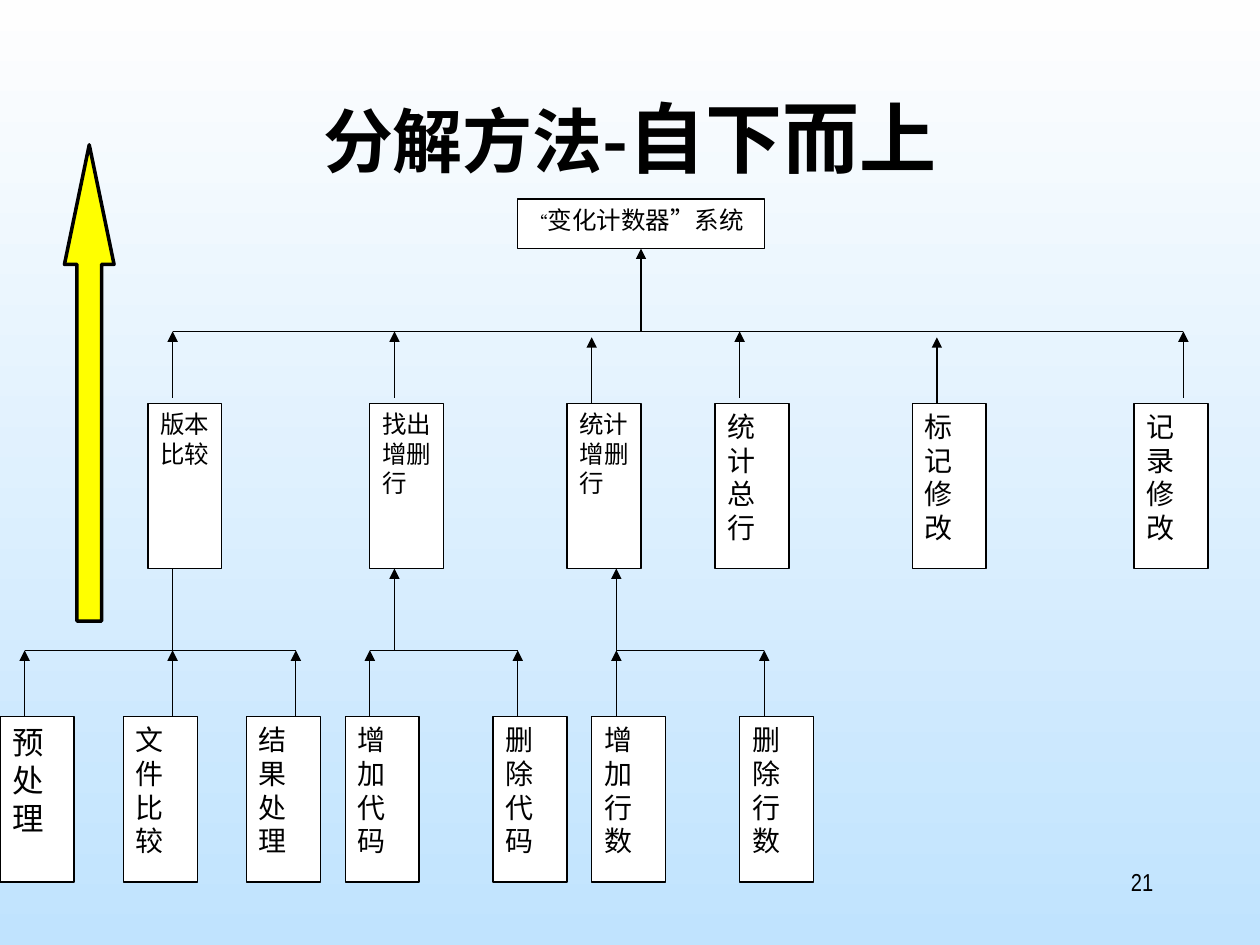
from lxml.etree import SubElement
from pptx import Presentation
from pptx.dml.color import RGBColor
from pptx.enum.shapes import MSO_CONNECTOR as Connector, MSO_SHAPE as Shape
from pptx.enum.text import MSO_ANCHOR as Anchor, PP_ALIGN as Align
from pptx.oxml.ns import qn
from pptx.util import Cm, Pt

SERIF, NARROW, CJK = "Times New Roman", "Arial Narrow", "Noto Sans CJK SC"
BLACK, WHITE, YELLOW = "000000", "FFFFFF", "FFFF00"

# Content: box column, paragraphs, text size
TITLE = [("分解方法-", 40, CJK), ("自下而上", 44, NARROW)]
ROOT = [("“", 10, SERIF), ("变化计数器”系统", 14, SERIF)]
MODULES = [
    (6, ["版本", "比较"], 14),
    (15, ["找出", "增删行"], 14),
    (23, ["统计", "增删行"], 14),
    (29, ["统计总行"], 16),
    (37, ["标记修改"], 16),
    (46, ["记录", "修改"], 16),
]
PARTS = [
    (0, ["预处理"], 18),
    (5, ["文件比较"], 16),
    (10, ["结果处理"], 16),
    (14, ["增加", "代码"], 16),
    (20, ["删除代码"], 16),
    (24, ["增加", "行数"], 16),
    (30, ["删除", "行数"], 16),
]
# Arrows: columns, and the drop of the short-reaching ones
MODULE_ARROWS = [(7, 0), (16, 0), (24, 0.12), (30, 0), (38, 0.12), (48, 0)]
# Groups: column of the arrow to the module, columns of the parts
GROUPS = [(7, [1, 7, 12]), (16, [15, 21]), (25, [25, 31])]

# Grid in cm
UNIT = 0.497
BOX_HEIGHT = 3.33
MODULE_TOP, PART_TOP = 8.13, 14.45
MODULE_BUS, PART_BUS = 6.68, 13.11
ARROW_LENGTH = 1.34


def color(value):
    return RGBColor.from_string(value)


def style_run(span, size, font, bold=None):
    span.font.size, span.font.name, span.font.bold = Pt(size), font, bold
    span.font.color.rgb = color(BLACK)
    SubElement(span._r.get_or_add_rPr(), qn("a:ea")).set("typeface", CJK)


def add_runs(para, spans, bold=None):
    for text, size, font in spans:
        span = para.add_run()
        span.text = text
        style_run(span, size, font, bold)


def add_shape(kind, left, top, width, height, fill, weight):
    shape = page.shapes.add_shape(kind, Cm(left), Cm(top), Cm(width), Cm(height))
    shape.shadow.inherit = False
    shape.fill.solid()
    shape.fill.fore_color.rgb = color(fill)
    shape.line.color.rgb = color(BLACK)
    shape.line.width = Pt(weight)
    return shape


def add_box(column, top, columns, height, paragraphs):
    box = add_shape(Shape.RECTANGLE, column * UNIT, top, columns * UNIT, height, WHITE, 0.75)
    frame = box.text_frame
    frame.word_wrap = True
    frame.vertical_anchor = Anchor.TOP
    for number, spans in enumerate(paragraphs):
        para = frame.add_paragraph() if number else frame.paragraphs[0]
        para.alignment = Align.JUSTIFY
        add_runs(para, spans)
    return box


def add_line(start, top, end, bottom, arrow=False):
    line = page.shapes.add_connector(
        Connector.STRAIGHT, Cm(start * UNIT), Cm(top), Cm(end * UNIT), Cm(bottom))
    line.line.color.rgb = color(BLACK)
    line.line.width = Pt(0.75)
    if arrow:
        SubElement(line.line._get_or_add_ln(), qn("a:headEnd")).set("type", "triangle")
    SubElement(line._element.spPr, qn("a:effectLst"))
    return line


deck = Presentation()
deck.slide_width, deck.slide_height = Cm(25.4), Cm(19.05)
page = deck.slides.add_slide(deck.slide_layouts[5])

# Background
backdrop = page.background.fill
backdrop.gradient()
backdrop.gradient_angle = 270
for stop, (position, shade) in zip(backdrop.gradient_stops, [(0, "FEFEFE"), (1, "C0E3FE")]):
    stop.position = position
    stop.color.rgb = color(shade)

# Title
title = page.shapes.title
title.left, title.top, title.width, title.height = Cm(1.9), Cm(1.7), Cm(21.6), Cm(3.18)
title.text_frame.vertical_anchor = Anchor.TOP
title.text_frame.paragraphs[0].alignment = Align.CENTER
add_runs(title.text_frame.paragraphs[0], TITLE, bold=True)

# System and its bus
root = add_box(21, 4.01, 10, 1, [ROOT])
trunk = add_line(26, 5.01, 26, MODULE_BUS, arrow=True)
trunk.begin_connect(root, 2)
add_line(MODULE_ARROWS[0][0], MODULE_BUS, MODULE_ARROWS[-1][0], MODULE_BUS)
for column, drop in MODULE_ARROWS:
    add_line(column, MODULE_BUS + drop, column, MODULE_BUS + drop + ARROW_LENGTH, arrow=True)

# Part groups; the first link starts behind its module
for link, columns in GROUPS:
    link_top = 11.13 if link == 7 else MODULE_TOP + BOX_HEIGHT
    add_line(link, link_top, link, PART_BUS, arrow=True)
    add_line(columns[0], PART_BUS, columns[-1], PART_BUS)
    for column in columns:
        add_line(column, PART_BUS, column, PART_BUS + ARROW_LENGTH, arrow=True)

# Module and part boxes
for top, row in [(MODULE_TOP, MODULES), (PART_TOP, PARTS)]:
    for column, lines, size in row:
        add_box(column, top, 3, BOX_HEIGHT, [[(text, size, SERIF)] for text in lines])

# Bottom-up arrow
upward = add_shape(Shape.UP_ARROW, 1.3, 2.92, 1, 9.6, YELLOW, 2)
upward.adjustments[0], upward.adjustments[1] = 0.5, 2.41

# Page number
number_box = page.shapes.add_textbox(Cm(18.2), Cm(17.35), Cm(5.3), Cm(1.27))
number_box.text_frame.word_wrap = True
number_box.text_frame.paragraphs[0].alignment = Align.RIGHT
add_runs(number_box.text_frame.paragraphs[0], [("21", 14, NARROW)])

deck.save("out.pptx")
